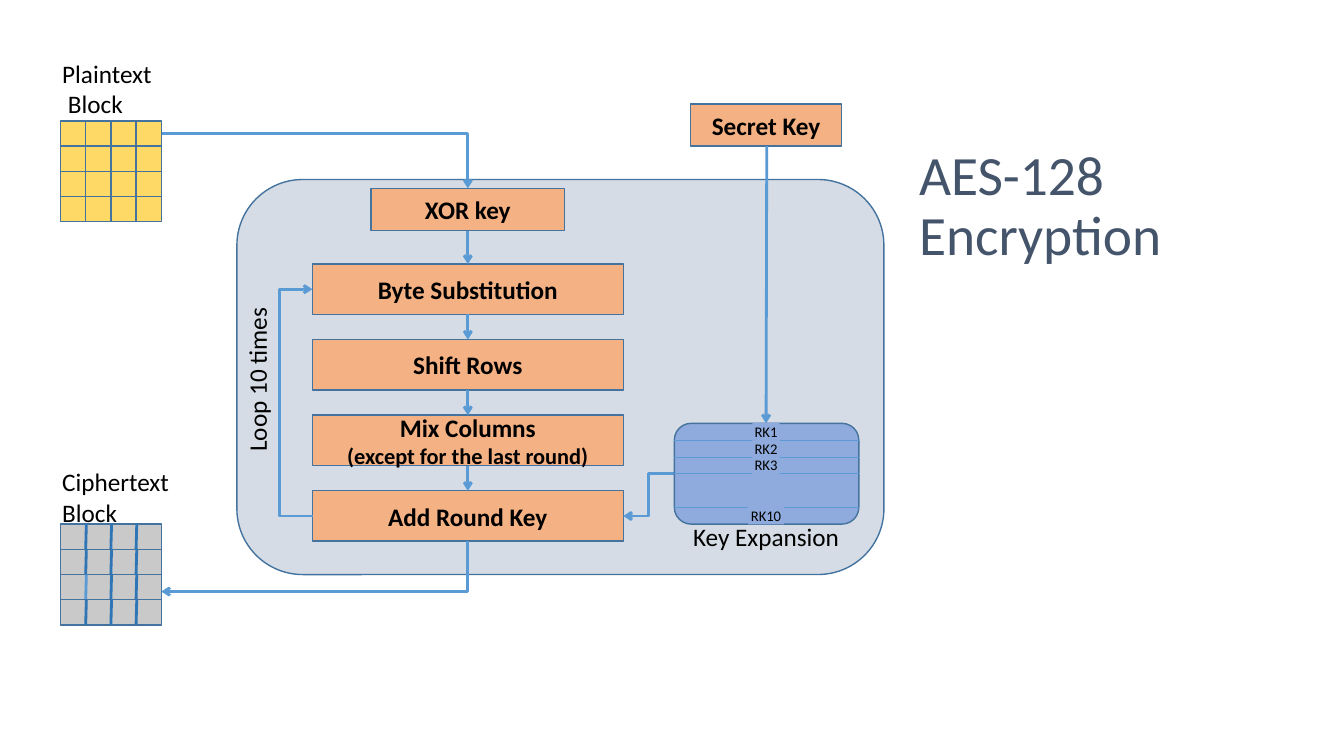
from dataclasses import dataclass
from typing import Optional

import lxml.etree
import pptx
import pptx.dml.color
import pptx.enum.shapes
import pptx.enum.text
import pptx.oxml.ns
import pptx.util

Pt = pptx.util.Pt
qn = pptx.oxml.ns.qn
SHAPE = pptx.enum.shapes.MSO_SHAPE
ALIGN = pptx.enum.text.PP_ALIGN
ANCHOR = pptx.enum.text.MSO_ANCHOR


@dataclass(frozen=True)
class Theme:
    font: str = "Calibri"
    ink: str = "000000"
    heading: str = "44546A"
    panel: str = "D6DCE5"
    step: str = "F4B183"
    plain: str = "FFD966"
    cipher: str = "C9C9C9"
    key_store: str = "8FAADC"
    outline: str = "43739E"
    flow: str = "5B9BD5"
    divider: str = "2E75B6"
    title_size: float = 39.6
    body_size: float = 18
    note_size: float = 16
    round_key_size: float = 10.5


THEME = Theme()


@dataclass(frozen=True)
class Line:
    text: str
    size: float = THEME.body_size
    bold: bool = False
    color: str = THEME.ink


@dataclass(frozen=True)
class Box:
    left: float
    top: float
    width: float
    height: float
    fill: str = THEME.step
    lines: tuple[Line, ...] = ()
    preset: SHAPE = SHAPE.RECTANGLE
    outline: Optional[str] = THEME.outline
    inset: Optional[float] = None
    anchor: ANCHOR = ANCHOR.MIDDLE


@dataclass(frozen=True)
class Label:
    left: float
    top: float
    width: float
    height: float
    lines: tuple[Line, ...]
    align: ALIGN = ALIGN.LEFT
    vertical: bool = False


@dataclass(frozen=True)
class Link:
    start: tuple[float, float]
    end: tuple[float, float]
    color: str = THEME.flow
    weight: float = 2
    arrow: Optional[str] = "tailEnd"
    preset: str = "line"
    bend: Optional[int] = None


def rgb(value: str) -> pptx.dml.color.RGBColor:
    return pptx.dml.color.RGBColor.from_string(value)


def write(frame, lines: tuple[Line, ...], align: ALIGN) -> None:
    for index, line in enumerate(lines):
        paragraph = frame.add_paragraph() if index else frame.paragraphs[0]
        paragraph.alignment = align
        run = paragraph.add_run()
        run.text = line.text
        run.font.name = THEME.font
        run.font.size = Pt(line.size)
        run.font.bold = line.bold
        run.font.color.rgb = rgb(line.color)


def draw_box(slide, box: Box) -> None:
    shape = slide.shapes.add_shape(
        box.preset, Pt(box.left), Pt(box.top), Pt(box.width), Pt(box.height))
    shape.shadow.inherit = False
    shape.fill.solid()
    shape.fill.fore_color.rgb = rgb(box.fill)
    if box.outline:
        shape.line.color.rgb = rgb(box.outline)
        shape.line.width = Pt(1)
    else:
        shape.line.fill.background()
    frame = shape.text_frame
    frame.vertical_anchor = box.anchor
    if box.inset is not None:
        frame.margin_left = frame.margin_right = Pt(box.inset)
        frame.margin_top = frame.margin_bottom = Pt(box.inset)
    write(frame, box.lines, ALIGN.CENTER)


def draw_label(slide, label: Label) -> None:
    frame = slide.shapes.add_textbox(
        Pt(label.left), Pt(label.top), Pt(label.width), Pt(label.height)).text_frame
    frame.word_wrap = False
    frame.auto_size = pptx.enum.text.MSO_AUTO_SIZE.SHAPE_TO_FIT_TEXT
    if label.vertical:
        frame._txBody.bodyPr.set("vert", "vert270")
    write(frame, label.lines, label.align)


def draw_link(slide, link: Link) -> None:
    connector = slide.shapes.add_connector(
        pptx.enum.shapes.MSO_CONNECTOR.STRAIGHT,
        *map(Pt, link.start), *map(Pt, link.end))
    connector.line.color.rgb = rgb(link.color)
    connector.line.width = Pt(link.weight)
    properties = connector._element.spPr
    geometry = properties.find(qn("a:prstGeom"))
    geometry.set("prst", link.preset)
    if link.bend is not None:
        lxml.etree.SubElement(geometry.find(qn("a:avLst")), qn("a:gd"),
                              name="adj1", fmla=f"val {link.bend}")
    if link.arrow:
        lxml.etree.SubElement(properties.find(qn("a:ln")),
                              qn(f"a:{link.arrow}"), type="arrow")
    lxml.etree.SubElement(properties, qn("a:effectLst"))


def draw_title(slide) -> None:
    frame = slide.shapes.add_textbox(Pt(649.4), Pt(103), Pt(310), Pt(90)).text_frame
    frame.word_wrap = True
    frame.vertical_anchor = ANCHOR.MIDDLE
    write(frame, (Line("AES-128 Encryption", THEME.title_size, color=THEME.heading),),
          ALIGN.LEFT)
    frame.paragraphs[0].line_spacing = 0.9


def draw_rounds(slide) -> None:
    center, left, width, height, first, pitch = 334.2, 223.2, 222, 36, 188.6, 54
    steps = (
        (Line("Byte Substitution", bold=True),),
        (Line("Shift Rows", bold=True),),
        (Line("Mix Columns", bold=True),
         Line("(except for the last round)", THEME.note_size, True)),
        (Line("Add Round Key", bold=True),),
    )
    draw_box(slide, Box(265, 134.6, 138.4, 30.2, lines=(Line("XOR key", bold=True),)))
    above = 164.8
    for index, lines in enumerate(steps):
        top = first + index * pitch
        draw_box(slide, Box(left, top, width, height, lines=lines))
        draw_link(slide, Link((center, above), (center, top)))
        above = top + height
    last_middle = above - height / 2
    for link in (
        Link((115.2, 95.2), (center, 134.6), preset="bentConnector2"),
        Link((115.2, 422.6), (center, above), arrow="headEnd", preset="bentConnector2"),
        Link((481.7, 338.4), (left + width, last_middle),
             preset="bentConnector3", bend=50000),
        Link((left + 0.72, last_middle), (left, first + height / 2),
             preset="bentConnector3", bend=3400000),
    ):
        draw_link(slide, link)


def draw_blocks(slide) -> None:
    left, plain_top, cipher_top, cell, count = 43.2, 86.4, 374.4, 18, 4
    for row in range(count):
        for column in range(count):
            draw_box(slide, Box(left + column * cell, plain_top + row * cell,
                                cell, cell, THEME.plain))
        top = cipher_top + row * cell
        draw_box(slide, Box(left, top, count * cell, cell, THEME.cipher))
        for column in range(1, count):
            x = left + column * cell
            color = THEME.flow if (row, column) == (2, 1) else THEME.divider
            draw_link(slide, Link((x, top + cell), (x + 0.5, top), color, arrow=None))


def draw_key_schedule(slide) -> None:
    center, left, top, width, slot = 547.2, 481.7, 302.4, 131.8, 12
    draw_box(slide, Box(493.2, 74.2, 108, 30.2, lines=(Line("Secret Key", bold=True),)))
    draw_link(slide, Link((center + 0.5, 104.4), (center, top)))
    draw_box(slide, Box(left, top, width, 72, THEME.key_store,
                        preset=SHAPE.ROUNDED_RECTANGLE))
    for index in (1, 2, 3, 5):
        y = top + index * slot
        draw_link(slide, Link((left, y), (left + width, y), weight=0.5, arrow=None))
    for index, name in ((0, "RK1"), (1, "RK2"), (2, "RK3"), (5, "RK10")):
        tag_width = 6 * len(name) + 1.5
        draw_box(slide, Box(center - tag_width / 2, top + index * slot - 0.5, tag_width, 12.7,
                            THEME.key_store, (Line(name, THEME.round_key_size),),
                            outline=None, inset=0, anchor=ANCHOR.TOP))


def main() -> None:
    deck = pptx.Presentation()
    deck.slide_width, deck.slide_height = Pt(960), Pt(540)
    slide = deck.slides.add_slide(deck.slide_layouts[6])
    draw_box(slide, Box(169.2, 128.2, 462.2, 282.2, THEME.panel,
                        preset=SHAPE.ROUNDED_RECTANGLE))
    draw_title(slide)
    draw_rounds(slide)
    draw_blocks(slide)
    draw_key_schedule(slide)
    for label in (
        Label(37.4, 38.2, 79.2, 51, (Line("Plaintext"), Line(" Block"))),
        Label(37.4, 329.8, 95.8, 51, (Line("Ciphertext"), Line("Block"))),
        Label(169.2, 218.2, 36, 111.6, (Line("Loop 10 times"),), vertical=True),
        Label(487.1, 368.6, 120.2, 29, (Line("Key Expansion"),), ALIGN.CENTER),
    ):
        draw_label(slide, label)
    deck.save("out.pptx")


if __name__ == "__main__":
    main()
